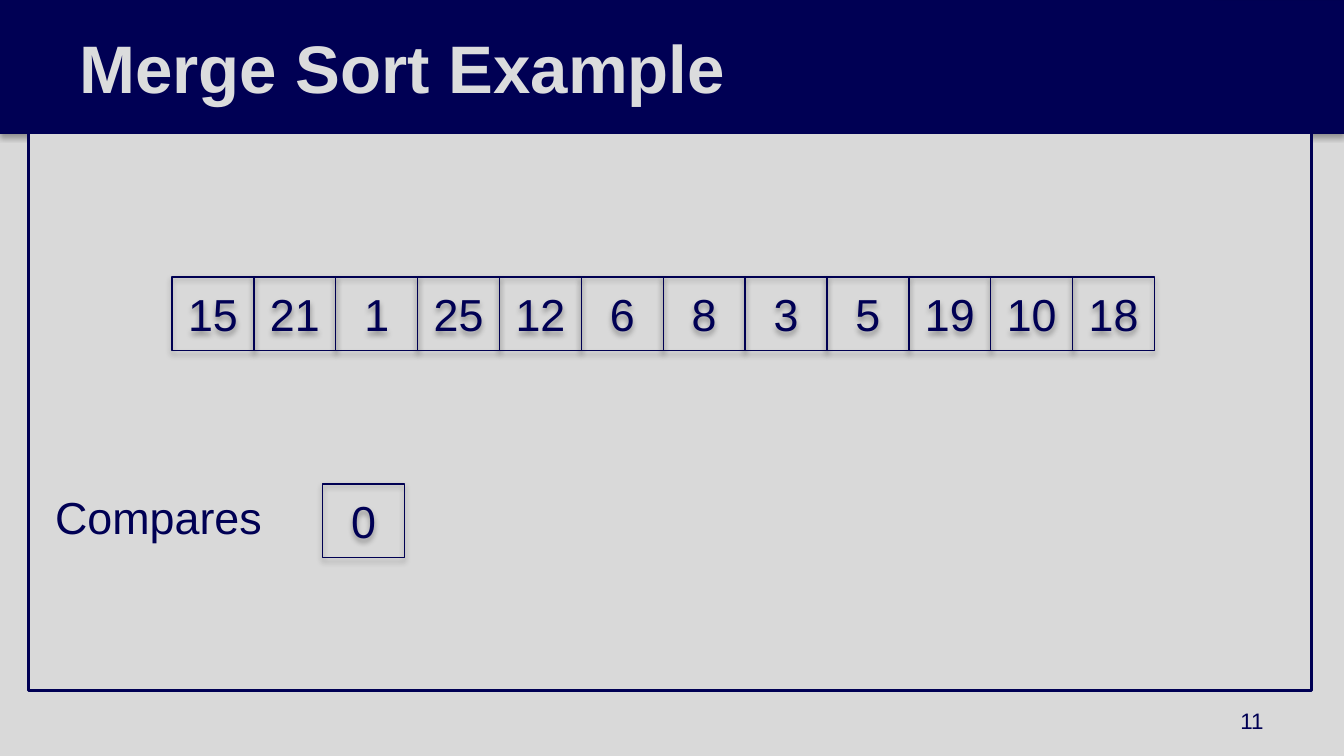
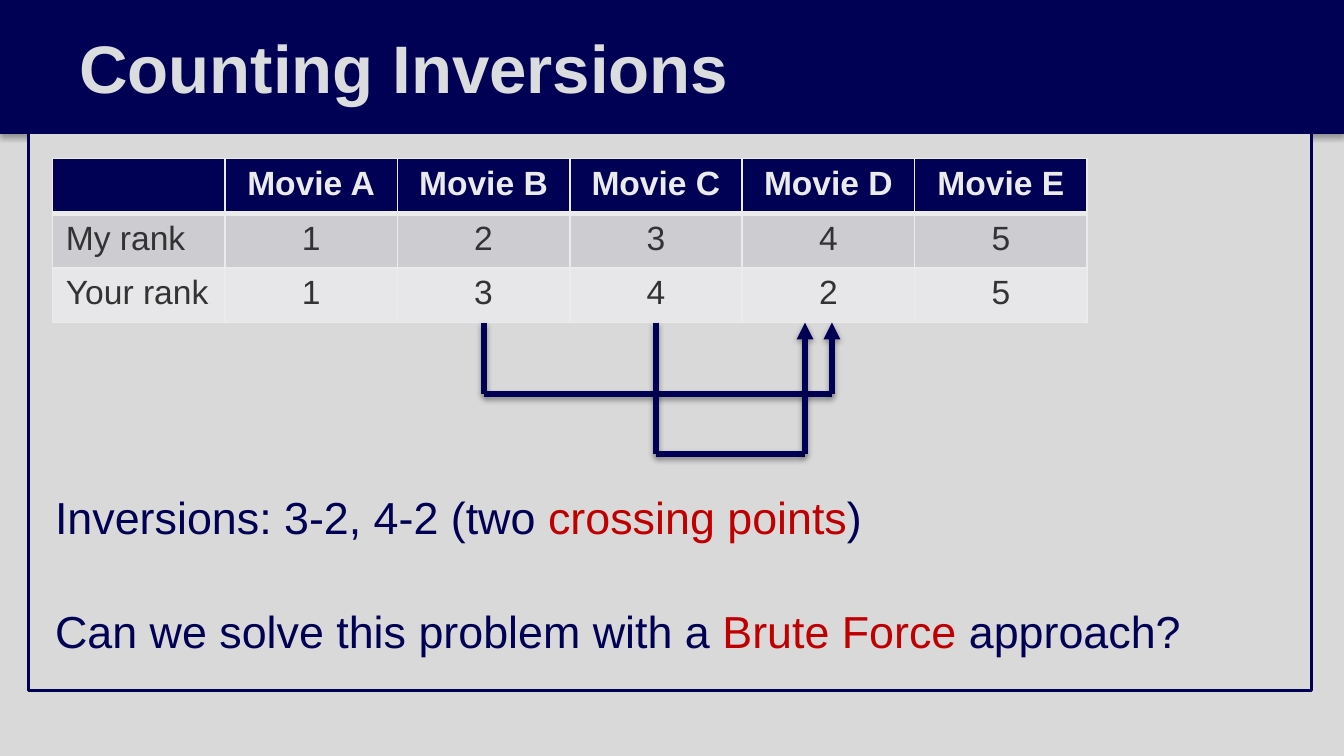
from lxml.etree import SubElement
from pptx import Presentation
from pptx.dml.color import RGBColor
from pptx.enum.shapes import MSO_CONNECTOR as Connector, MSO_SHAPE as Preset
from pptx.enum.text import MSO_ANCHOR as Anchor, MSO_AUTO_SIZE as AutoSize, PP_ALIGN as Align
from pptx.oxml.ns import qn
from pptx.util import Inches, Pt

COLORS = {
    "paper": "D9D9D9",
    "navy": "000054",
    "edge": "000052",
    "title": "DBDCDD",
    "accent": "C00000",
    "shadow": "000000",
    "grid": "EBEBEB",
    "cell_text": "333333",
    "row_dark": "CCCCD1",
    "row_light": "E7E7E9",
}
FONT = "Arial"
PAGE_WIDTH = 10
PAGE_HEIGHT = PAGE_WIDTH * 9 / 16
BAND = (0, 0, PAGE_WIDTH, 0.99)
TITLE = (0, 0, 9.03, 0.99)
BODY = (0.21, 0.99, 9.55, 4.15)
NUMBER = (7.17, 5.21, 2.33, 0.3)


def color(name):
    return RGBColor.from_string(COLORS[name])


def lengths(box):
    return [Inches(value) for value in box]


def place(shape, box):
    shape.left, shape.top, shape.width, shape.height = lengths(box)


def fill_with(target, name):
    target.fill.solid()
    target.fill.fore_color.rgb = color(name)


def outline(shape, name, width):
    shape.line.color.rgb = color(name)
    shape.line.width = Pt(width)


def style(para, size, name, align=Align.LEFT, bold=False):
    para.alignment = align
    font = para.font
    font.name, font.size, font.bold = FONT, Pt(size), bold
    font.color.rgb = color(name)


def set_insets(frame, left, top, right, bottom):
    frame.margin_left, frame.margin_top = Inches(left), Inches(top)
    frame.margin_right, frame.margin_bottom = Inches(right), Inches(bottom)
    frame.auto_size = AutoSize.NONE
    frame.word_wrap = True


def add_shadow(shape, opacity, distance):
    effects = SubElement(shape.element.spPr, qn("a:effectLst"))
    shadow = SubElement(effects, qn("a:outerShdw"), blurRad=str(Pt(3.1)),
                        dist=str(Pt(distance)), dir="5400000", rotWithShape="0")
    tint = SubElement(shadow, qn("a:srgbClr"), val=COLORS["shadow"])
    SubElement(tint, qn("a:alpha"), val=str(opacity * 1000))


def add_rectangle(page, box):
    shape = page.shapes.add_shape(Preset.RECTANGLE, *lengths(box))
    outline(shape, "edge", 0.75)
    add_shadow(shape, 35, 1.8)
    return shape


def add_band(page, layout):
    band = add_rectangle(page, BAND)
    fill_with(band, "navy")
    layout.shapes.element.insert(2, band.element)


def add_title(page, text, box=TITLE):
    title = page.shapes.title
    place(title, box)
    fill_with(title, "navy")
    frame = title.text_frame
    set_insets(frame, 0.4, 0.1, 0.4, 0.1)
    frame.vertical_anchor = Anchor.MIDDLE
    frame.text = text
    para = frame.paragraphs[0]
    para._p.get_or_add_pPr().set("marL", str(Inches(0.19)))
    style(para, 36, "title", bold=True)


def add_body(page, lines, box=BODY):
    body = page.placeholders[1]
    place(body, box)
    fill_with(body, "paper")
    outline(body, "navy", 1.5)
    frame = body.text_frame
    set_insets(frame, 0.2, 2.45, 0.2, 0.1)
    frame.vertical_anchor = Anchor.TOP
    for index, spans in enumerate(lines):
        para = frame.add_paragraph() if index else frame.paragraphs[0]
        properties = para._p.get_or_add_pPr()
        properties.set("marL", "0")
        properties.set("indent", "0")
        SubElement(properties, qn("a:buNone"))
        para.line_spacing = 1.5
        para.space_before = Pt(18 if index else 0)
        style(para, 24, "navy")
        for text, name in spans:
            span = para.add_run()
            span.text = text
            if name != "navy":
                span.font.color.rgb = color(name)


def add_page_number(page, text, box=NUMBER):
    frame = page.shapes.add_textbox(*lengths(box)).text_frame
    frame.word_wrap = True
    frame.vertical_anchor = Anchor.MIDDLE
    frame.text = text
    style(frame.paragraphs[0], 12, "navy", Align.RIGHT)


def add_number_row(page, values, box):
    left, top, width, height = box
    step = width / len(values)
    for index, value in enumerate(values):
        cell = add_rectangle(page, (left + index * step, top, step, height))
        cell.fill.background()
        frame = cell.text_frame
        frame.vertical_anchor = Anchor.MIDDLE
        frame.text = str(value)
        style(frame.paragraphs[0], 24, "navy", Align.CENTER)


def add_borders(cell, widths):
    properties = cell._tc.get_or_add_tcPr()
    for side, width in zip("LRTB", widths):
        line = SubElement(properties, qn(f"a:ln{side}"), w=str(Pt(width)))
        paint = SubElement(line, qn("a:solidFill"))
        SubElement(paint, qn("a:srgbClr"), val=COLORS["grid"])


def add_rank_table(page, rows, box):
    table = page.shapes.add_table(len(rows), len(rows[0]), *lengths(box)).table
    looks = [
        ("navy", "grid", (1, 1, 1, 3)),
        ("row_dark", "cell_text", (1, 1, 3, 1)),
        ("row_light", "cell_text", (1, 1, 1, 1)),
    ]
    for row, (values, (back, ink, widths)) in enumerate(zip(rows, looks)):
        for column, value in enumerate(values):
            cell = table.cell(row, column)
            add_borders(cell, widths)
            fill_with(cell, back)
            cell.text = value
            align = Align.CENTER if column else Align.LEFT
            style(cell.text_frame.paragraphs[0], 18, ink, align, bold=row == 0)


def add_inversion_arrow(page, box):
    left, top, width, height = box
    right, bottom = left + width, top + height
    corners = [(left, top), (left, bottom), (right, bottom), (right, top)]
    for start, end in zip(corners, corners[1:]):
        line = page.shapes.add_connector(Connector.STRAIGHT, *lengths(start + end))
        outline(line, "navy", 3)
        if end == corners[-1]:
            SubElement(line.line._get_or_add_ln(), qn("a:tailEnd"), type="triangle")
        add_shadow(line, 38, 1.6)


def fill_merge_sort_page(page):
    add_title(page, "Merge Sort Example")
    add_body(page, [[("Compares", "navy")]])
    add_page_number(page, "11")
    numbers = [15, 21, 1, 25, 12, 6, 8, 3, 5, 19, 10, 18]
    add_number_row(page, numbers, (1.28, 2.06, 7.31, 0.55))
    add_number_row(page, [0], (2.4, 3.6, 0.61, 0.55))


def fill_inversions_page(page):
    add_title(page, "Counting Inversions")
    add_body(page, [
        [("Inversions: 3-2, 4-2 (two ", "navy"), ("crossing points", "accent"), (")", "navy")],
        [("Can we solve this problem with a ", "navy"), ("Brute Force ", "accent"),
         ("approach?", "navy")],
    ])
    rows = [
        [""] + [f"Movie {letter}" for letter in "ABCDE"],
        ["My rank", *"12345"],
        ["Your rank", *"13425"],
    ]
    add_rank_table(page, rows, (0.39, 1.18, 7.7, 1.22))
    add_inversion_arrow(page, (3.6, 2.4, 2.59, 0.53))
    add_inversion_arrow(page, (4.88, 2.4, 1.11, 0.98))


def main():
    deck = Presentation()
    deck.slide_width, deck.slide_height = lengths((PAGE_WIDTH, PAGE_HEIGHT))
    fill_with(deck.slide_master.background, "paper")
    layout = deck.slide_layouts[1]
    pages = [deck.slides.add_slide(layout) for _ in range(2)]
    add_band(pages[0], layout)
    fill_merge_sort_page(pages[0])
    fill_inversions_page(pages[1])
    deck.save("out.pptx")


if __name__ == "__main__":
    main()
